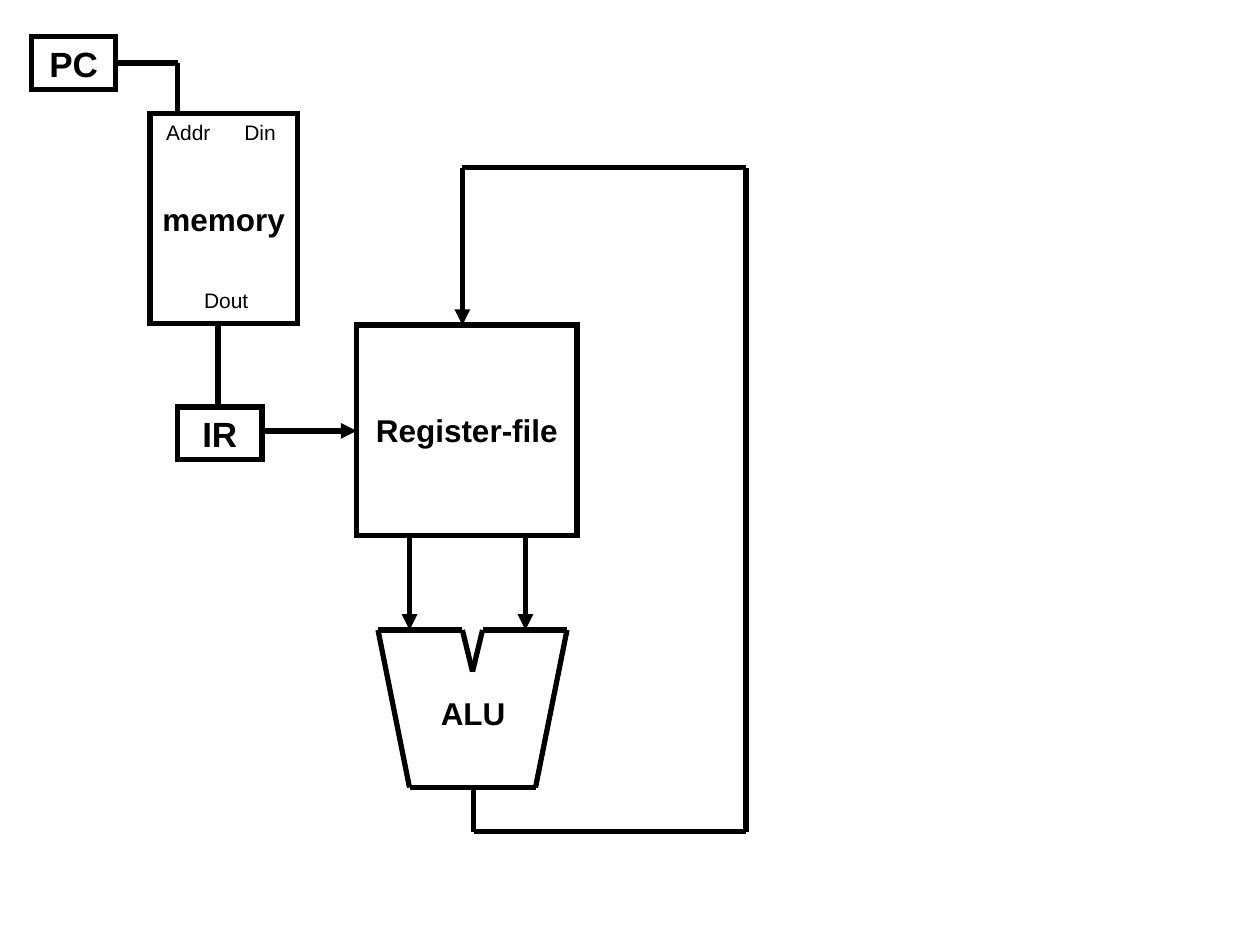
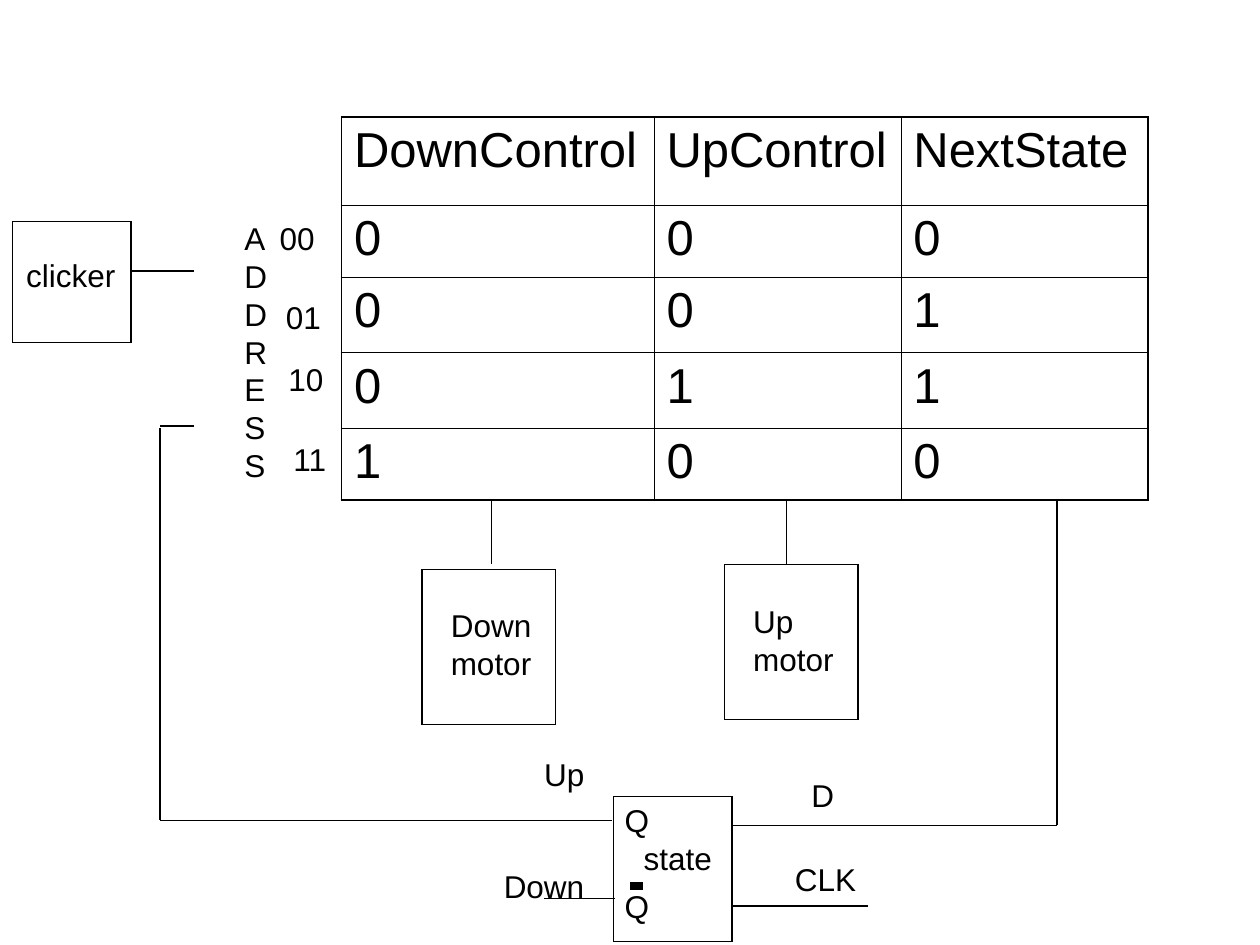
from dataclasses import dataclass
from itertools import pairwise

from lxml.etree import SubElement
from pptx import Presentation
from pptx.dml.color import RGBColor
from pptx.enum.shapes import MSO_CONNECTOR, MSO_SHAPE
from pptx.enum.text import MSO_ANCHOR, MSO_AUTO_SIZE, PP_ALIGN
from pptx.oxml import parse_xml
from pptx.oxml.ns import nsdecls, qn
from pptx.slide import Slide
from pptx.table import _Cell
from pptx.text.text import TextFrame, _Paragraph
from pptx.util import Inches, Pt

FONT = "Arial"
BLACK = "000000"
WHITE = "FFFFFF"
THICK = 3
THIN = 0.75

Point = tuple[float, float]


@dataclass
class Box:
    """A rectangle, with bold centred text if it has any."""
    x: float
    y: float
    w: float
    h: float
    text: str = ""
    size: int = 18
    fill: str = ""
    weight: float = THIN


@dataclass
class Label:
    """Free text whose height follows from its lines."""
    text: str
    x: float
    y: float
    w: float
    size: int = 18
    bold: bool = False
    align: PP_ALIGN = PP_ALIGN.LEFT
    tab: float = 0


@dataclass
class Wire:
    """A path of straight lines that may end in an arrowhead."""
    points: list[Point]
    weight: float = THIN
    arrow: bool = False


def color(value: str) -> RGBColor:
    """Turn a hex string into a colour."""
    return RGBColor.from_string(value)


def add_run(p: _Paragraph, text: str, size: int, bold: bool = False) -> None:
    """Add one black run to a paragraph."""
    r = p.add_run()
    r.text = text
    r.font.name = FONT
    r.font.size = Pt(size)
    r.font.bold = bold
    r.font.color.rgb = color(BLACK)


def write(tf: TextFrame, text: str, size: int, bold: bool, align: PP_ALIGN, tab: float = 0) -> None:
    """Write one paragraph for each line of text."""
    tf.word_wrap = False
    for i, line in enumerate(text.split("\n")):
        p = tf.paragraphs[0] if i == 0 else tf.add_paragraph()
        p.alignment = align
        if tab:
            tabs = SubElement(p._p.get_or_add_pPr(), qn("a:tabLst"))
            SubElement(tabs, qn("a:tab"), pos=str(Inches(tab)), algn="l")
        add_run(p, line, size, bold)


def draw_box(s: Slide, box: Box) -> None:
    """Draw a rectangle with sharp corners."""
    sp = s.shapes.add_shape(MSO_SHAPE.RECTANGLE, *map(Inches, (box.x, box.y, box.w, box.h)))
    sp.shadow.inherit = False
    sp.line.color.rgb = color(BLACK)
    sp.line.width = Pt(box.weight)
    SubElement(sp._element.spPr.find(qn("a:ln")), qn("a:miter"), lim="800000")
    if box.fill:
        sp.fill.solid()
        sp.fill.fore_color.rgb = color(box.fill)
    else:
        sp.fill.background()
    if box.text:
        sp.text_frame.vertical_anchor = MSO_ANCHOR.MIDDLE
        write(sp.text_frame, box.text, box.size, True, PP_ALIGN.CENTER)


def draw_label(s: Slide, label: Label) -> None:
    """Draw a text box."""
    h = 0.1 + len(label.text.split("\n")) * label.size / 60
    tf = s.shapes.add_textbox(*map(Inches, (label.x, label.y, label.w, h))).text_frame
    tf.auto_size = MSO_AUTO_SIZE.SHAPE_TO_FIT_TEXT
    write(tf, label.text, label.size, label.bold, label.align, label.tab)


def draw_wire(s: Slide, wire: Wire) -> None:
    """Draw one connector for each leg of a wire."""
    for start, end in pairwise(wire.points):
        c = s.shapes.add_connector(MSO_CONNECTOR.STRAIGHT, *map(Inches, start + end))
        c.line.color.rgb = color(BLACK)
        c.line.width = Pt(wire.weight)
        spPr = c._element.spPr
        if wire.arrow and end == wire.points[-1]:
            SubElement(spPr.find(qn("a:ln")), qn("a:tailEnd"), type="triangle")
        SubElement(spPr, qn("a:effectLst"))


def set_borders(cell: _Cell, weights: dict[str, float]) -> None:
    """Put black borders on a cell, ahead of its fill."""
    tcPr = cell._tc.get_or_add_tcPr()
    for i, (side, weight) in enumerate(weights.items()):
        tcPr.insert(i, parse_xml(
            f'<a:ln{side} {nsdecls("a")} w="{Pt(weight)}"><a:solidFill>'
            f'<a:srgbClr val="{BLACK}"/></a:solidFill></a:ln{side}>'))


def draw_table(s: Slide, x: float, y: float, rows: list[list[str]],
               widths: list[float], heights: list[float]) -> None:
    """Draw a table with thin inner and thicker outer borders."""
    frame = s.shapes.add_table(len(rows), len(widths),
                               *map(Inches, (x, y, sum(widths), sum(heights))))
    table = frame.table
    table.first_row = table.horz_banding = False
    for column, width in zip(table.columns, widths):
        column.width = Inches(width)
    for i, (texts, height) in enumerate(zip(rows, heights)):
        table.rows[i].height = Inches(height)
        for j, text in enumerate(texts):
            cell = table.cell(i, j)
            cell.fill.background()
            add_run(cell.text_frame.paragraphs[0], text, 28)
            edges = {"L": j == 0, "R": j == len(widths) - 1, "T": i == 0, "B": i == len(rows) - 1}
            set_borders(cell, {side: 1.08 if outer else 0.45 for side, outer in edges.items()})


def draw_parts(s: Slide, boxes: list[Box], wires: list[Wire], labels: list[Label]) -> None:
    """Draw the boxes, then the wires, then the labels."""
    for draw, parts in ((draw_box, boxes), (draw_wire, wires), (draw_label, labels)):
        for part in parts:
            draw(s, part)


def datapath_slide(s: Slide) -> None:
    """Draw the processor datapath."""
    boxes = [Box(*at, text, size, WHITE, THICK) for text, size, at in (
        ("PC", 20, (0.25, 0.29, 0.67, 0.42)),
        ("memory", 18, (1.19, 0.9, 1.17, 1.67)),
        ("IR", 20, (1.41, 3.23, 0.67, 0.42)),
        ("Register-file", 18, (2.83, 2.58, 1.75, 1.67)),
    )]
    alu = [(3, 5), (3.67, 5), (3.75, 5.33), (3.83, 5), (4.5, 5), (4.25, 6.25), (3.25, 6.25), (3, 5)]
    wires = [
        Wire([(0.92, 0.5), (1.41, 0.5), (1.41, 0.9)], THICK),
        Wire([(1.73, 2.56), (1.73, 3.23)], THICK),
        Wire([(2.08, 3.42), (2.83, 3.42)], THICK, True),
        *(Wire([(x, 4.25), (x, 5)], THICK, True) for x in (3.25, 4.17)),
        Wire(alu, THICK),
        Wire([(3.76, 6.25), (3.76, 6.6), (5.92, 6.6), (5.92, 1.33),
              (3.67, 1.33), (3.67, 2.58)], THICK, True),
    ]
    labels = [
        Label("Addr\tDin", 1.22, 0.9, 1.08, 12, tab=0.62),
        Label("Dout", 1.52, 2.23, 0.55, 12, align=PP_ALIGN.CENTER),
        Label("ALU", 3.4, 5.46, 0.74, bold=True),
    ]
    draw_parts(s, boxes, wires, labels)


def controller_slide(s: Slide) -> None:
    """Draw the state table and the circuit around it."""
    table_bottom = 3.97
    boxes = [
        Box(0.1, 1.76, 0.94, 0.96),
        Box(4.87, 6.32, 0.94, 1.15),
        Box(3.35, 4.52, 1.06, 1.23),
        Box(5.75, 4.48, 1.06, 1.23),
    ]
    wires = [
        Wire([(1.04, 2.15), (1.54, 2.15)]),
        Wire([(1.54, 3.38), (1.27, 3.38)]),
        Wire([(1.27, 3.4), (1.27, 6.51), (4.86, 6.51)]),
        Wire([(4.32, 7.13), (4.88, 7.13)]),
        Wire([(5.82, 6.55), (6.89, 6.55)]),
        Wire([(6.8, 6.55), (8.39, 6.55), (8.39, table_bottom)]),
        Wire([(5.82, 7.19), (6.89, 7.19)]),
        *(Wire([(x, table_bottom), (x, 4.48)]) for x in (3.9, 6.24)),
        Wire([(5, 7.03), (5.1, 7.03)], 4.5),
    ]
    labels = [
        Label("clicker", 0.11, 1.98, 0.91),
        Label("state", 5.01, 6.61, 0.74),
        Label("Q", 4.86, 6.31, 0.39),
        Label("Q", 4.86, 6.99, 0.39),
        Label("Up", 4.22, 5.94, 0.52),
        Label("Down", 3.9, 6.83, 0.84),
        Label("D", 6.34, 6.11, 0.38),
        Label("CLK", 6.21, 6.78, 0.71),
        Label("Down\nmotor", 3.48, 4.76, 0.84),
        Label("Up\nmotor", 5.88, 4.73, 0.84),
        Label("\n".join("ADDRESS"), 1.84, 1.69, 0.38),
        Label("00", 2.12, 1.69, 0.48),
        Label("01", 2.17, 2.32, 0.48),
        Label("10", 2.19, 2.81, 0.48),
        Label("11", 2.23, 3.44, 0.48),
    ]
    rows = [["DownControl", "UpControl", "NextState"], *map(list, ("000", "001", "011", "100"))]
    draw_table(s, 2.71, 0.93, rows, [2.48, 1.96, 1.96], [0.7, 0.57, 0.6, 0.6, 0.57])
    draw_parts(s, boxes, wires, labels)


def main() -> None:
    """Build and save both slides."""
    prs = Presentation()
    prs.slide_width, prs.slide_height = Inches(10), Inches(7.5)
    for build in (datapath_slide, controller_slide):
        build(prs.slides.add_slide(prs.slide_layouts[6]))
    prs.save("out.pptx")


if __name__ == "__main__":
    main()
